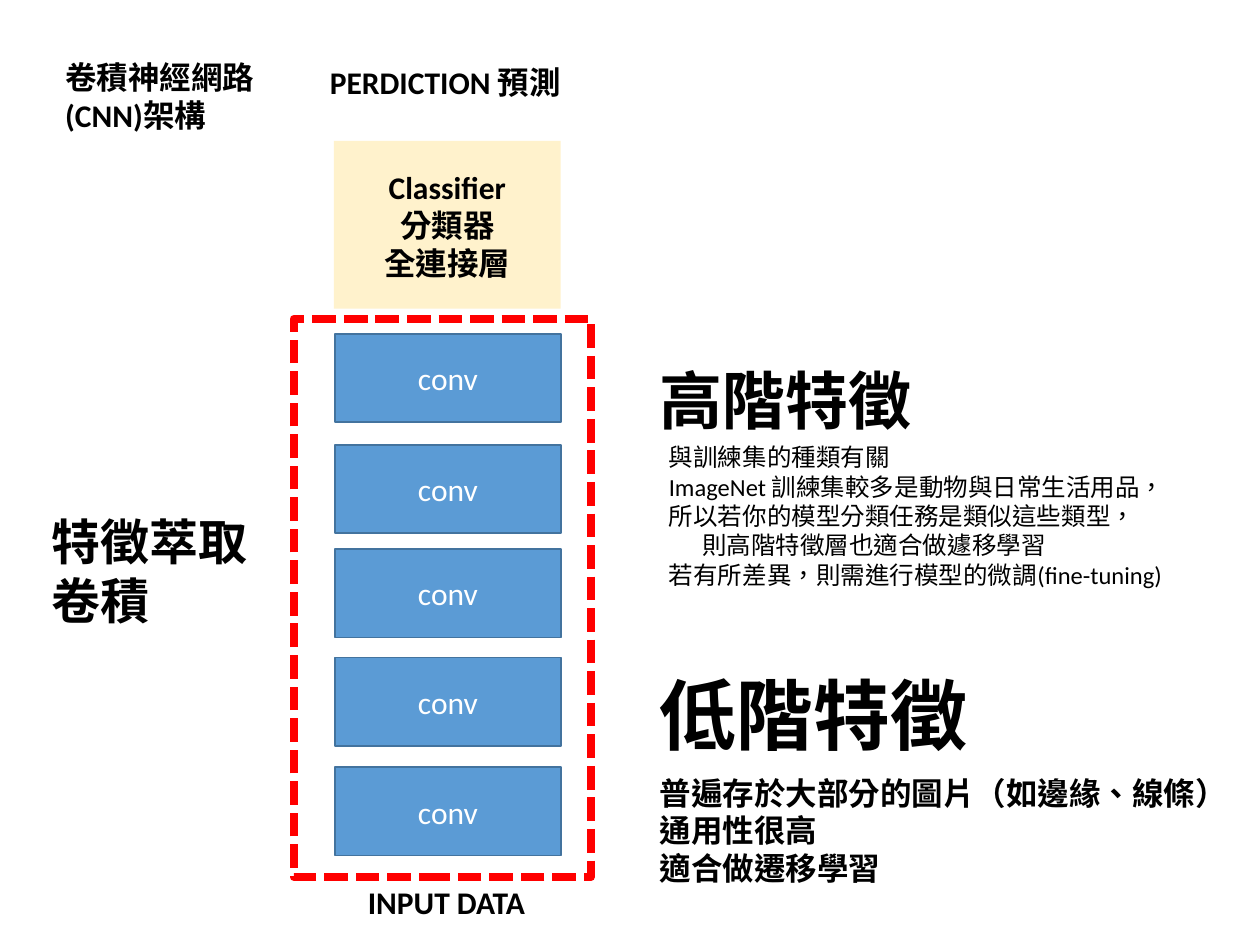
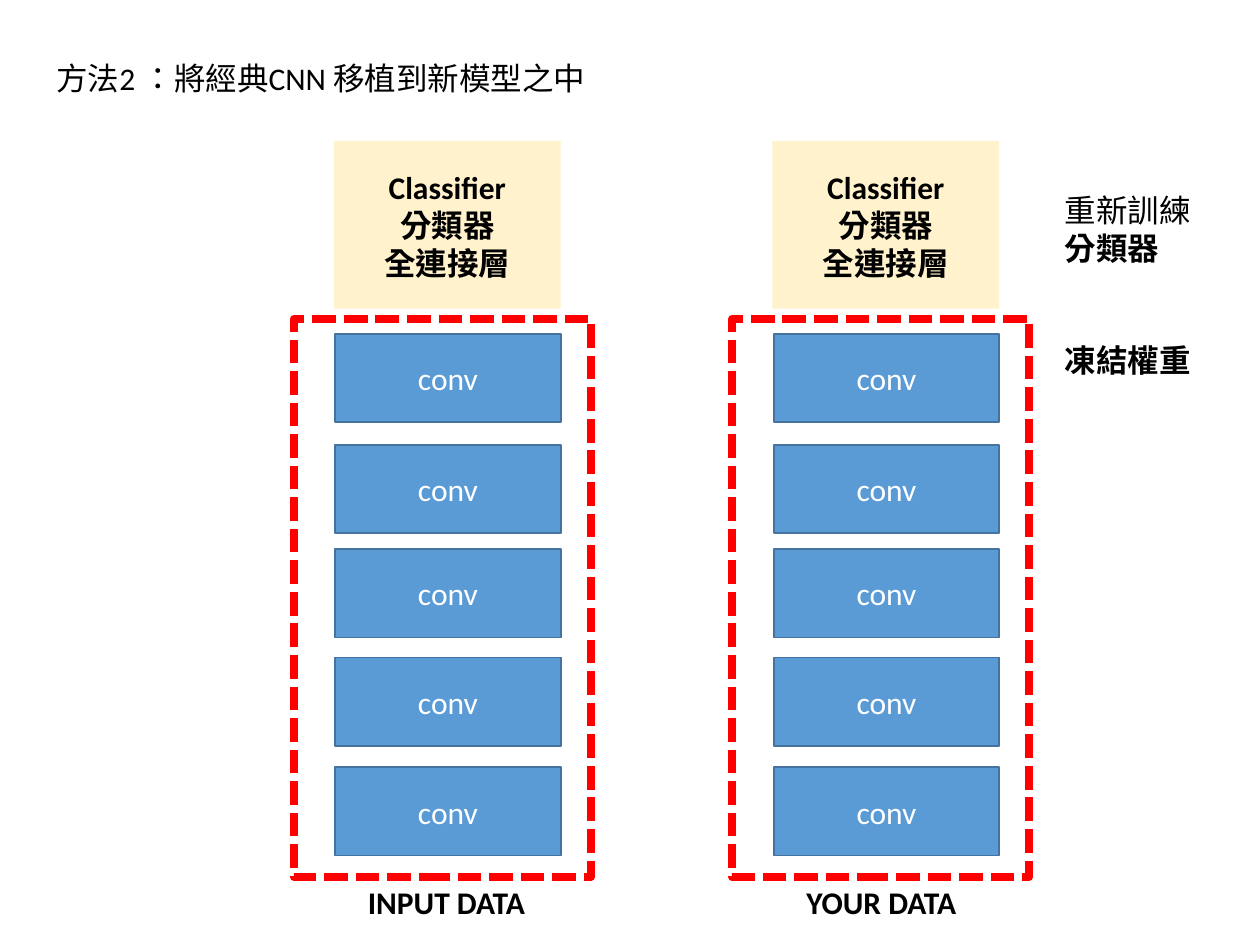
"""Two slides on CNN layers and transfer learning."""
import pptx
import pptx.dml.color
import pptx.enum.dml
import pptx.enum.shapes
import pptx.enum.text
import pptx.util

Pt = pptx.util.Pt
ALIGN = pptx.enum.text.PP_ALIGN
ANCHOR = pptx.enum.text.MSO_ANCHOR

FONT = "Calibri"
COLORS = {
    "text": "000000",
    "conv_text": "FFFFFF",
    "conv": "5B9BD5",
    "conv_line": "43739E",
    "classifier": "FFF2CC",
    "frame": "FF0000",
}
STACK_LEFT = 167.8
STACK_STEP = 250.6
CONV_TOPS = (190.8, 254.2, 313.9, 375.8, 438.5)
CLASSIFIER_LINES = ["Classifier", "分類器", "全連接層"]


def rgb(name):
    """Return the named colour."""
    return pptx.dml.color.RGBColor.from_string(COLORS[name])


def write(shape, lines, size=18, bold=True, color="text", align=ALIGN.LEFT,
          anchor=ANCHOR.TOP, wrap=True, indents=None, bold_lines=()):
    """Fill a shape with one paragraph per line; indents maps line to points."""
    frame = shape.text_frame
    frame.word_wrap = wrap
    frame.vertical_anchor = anchor
    for index, line in enumerate(lines):
        paragraph = frame.paragraphs[0] if index == 0 else frame.add_paragraph()
        paragraph.alignment = align
        if indents and index in indents:
            properties = paragraph._p.get_or_add_pPr()
            properties.set("marL", str(Pt(indents[index])))
        run = paragraph.add_run()
        run.text = line
        run._r.get_or_add_rPr().set("lang", "zh-TW")
        run.font.name = FONT
        run.font.size = Pt(size)
        run.font.bold = bold or index in bold_lines
        run.font.color.rgb = rgb(color)


def add_label(slide, left, top, width, height, lines, **text_format):
    """Add a text box that grows with its text."""
    box = slide.shapes.add_textbox(Pt(left), Pt(top), Pt(width), Pt(height))
    write(box, lines, **text_format)
    box.text_frame.auto_size = pptx.enum.text.MSO_AUTO_SIZE.SHAPE_TO_FIT_TEXT


def add_box(slide, left, top, width, height, fill=None, line=None, weight=1):
    """Add a rectangle; without a fill or line name that part stays empty."""
    box = slide.shapes.add_shape(
        pptx.enum.shapes.MSO_SHAPE.RECTANGLE,
        Pt(left), Pt(top), Pt(width), Pt(height))
    box.shadow.inherit = False
    if fill:
        box.fill.solid()
        box.fill.fore_color.rgb = rgb(fill)
    else:
        box.fill.background()
    if line:
        box.line.color.rgb = rgb(line)
        box.line.width = Pt(weight)
    else:
        box.line.fill.background()
    return box


def add_network(slide, left, data_label):
    """Add a classifier over framed convolution layers, with its data label."""
    centred = {"align": ALIGN.CENTER, "anchor": ANCHOR.MIDDLE}
    for top in CONV_TOPS:
        layer = add_box(slide, left + 23.7, top, 128.9, 50.4,
                        fill="conv", line="conv_line")
        write(layer, ["conv"], bold=False, color="conv_text", **centred)
    classifier = add_box(slide, left + 23, 80.6, 129.6, 95.8, fill="classifier")
    write(classifier, CLASSIFIER_LINES, **centred)
    add_label(slide, left + 35.3, 501.1, 104.4, 28.8, [data_label])
    frame = add_box(slide, left, 182.2, 169.9, 319, line="frame", weight=4.5)
    frame.line.dash_style = pptx.enum.dml.MSO_LINE.SQUARE_DOT


def build_architecture(slide):
    """Explain the low and high level features of a CNN."""
    add_network(slide, STACK_LEFT, "INPUT DATA")
    add_label(slide, 181.4, 32.4, 147.6, 28.8, ["PERDICTION 預測"])
    add_label(slide, 30.2, 29.5, 135.4, 51.1, ["卷積神經網路", "(CNN)架構"])
    add_label(slide, 22.3, 288.7, 151.2, 74.9, ["特徵萃取", "卷積"], size=28)
    add_label(slide, 370, 203, 159.8, 51.1, ["高階特徵"], size=36, wrap=False)
    add_label(slide, 370, 378, 192.2, 60.5, ["低階特徵"], size=44, wrap=False)
    add_label(slide, 370, 438.5, 350, 72.7, [
        "普遍存於大部分的圖片（如邊緣、線條）",
        "通用性很高",
        "適合做遷移學習",
    ])
    add_label(slide, 375.1, 249.1, 311, 92.2, [
        "與訓練集的種類有關",
        "ImageNet 訓練集較多是動物與日常生活用品，",
        "所以若你的模型分類任務是類似這些類型，",
        "則高階特徵層也適合做遽移學習",
        "若有所差異，則需進行模型的微調(fine-tuning)",
    ], size=14, bold=False, indents={3: 19})


def build_transfer(slide):
    """Show a trained network moved to new data."""
    for index, data_label in enumerate(("INPUT DATA", "YOUR DATA")):
        add_network(slide, STACK_LEFT + index * STACK_STEP, data_label)
    add_label(slide, 601.2, 191.5, 87.1, 28.8, ["凍結權重"], wrap=False)
    add_label(slide, 601.2, 105.8, 87.1, 51.1, ["重新訓練", "分類器"],
              bold=False, bold_lines=(1,), wrap=False)
    add_label(slide, 25.2, 30.2, 319.7, 28.8,
              ["方法2 ：將經典CNN 移植到新模型之中"], bold=False)


def main():
    """Build and save the presentation."""
    presentation = pptx.Presentation()
    presentation.slide_width = Pt(720)
    presentation.slide_height = Pt(540)
    blank = presentation.slide_layouts[6]
    for build in (build_architecture, build_transfer):
        build(presentation.slides.add_slide(blank))
    presentation.save("out.pptx")


main()
